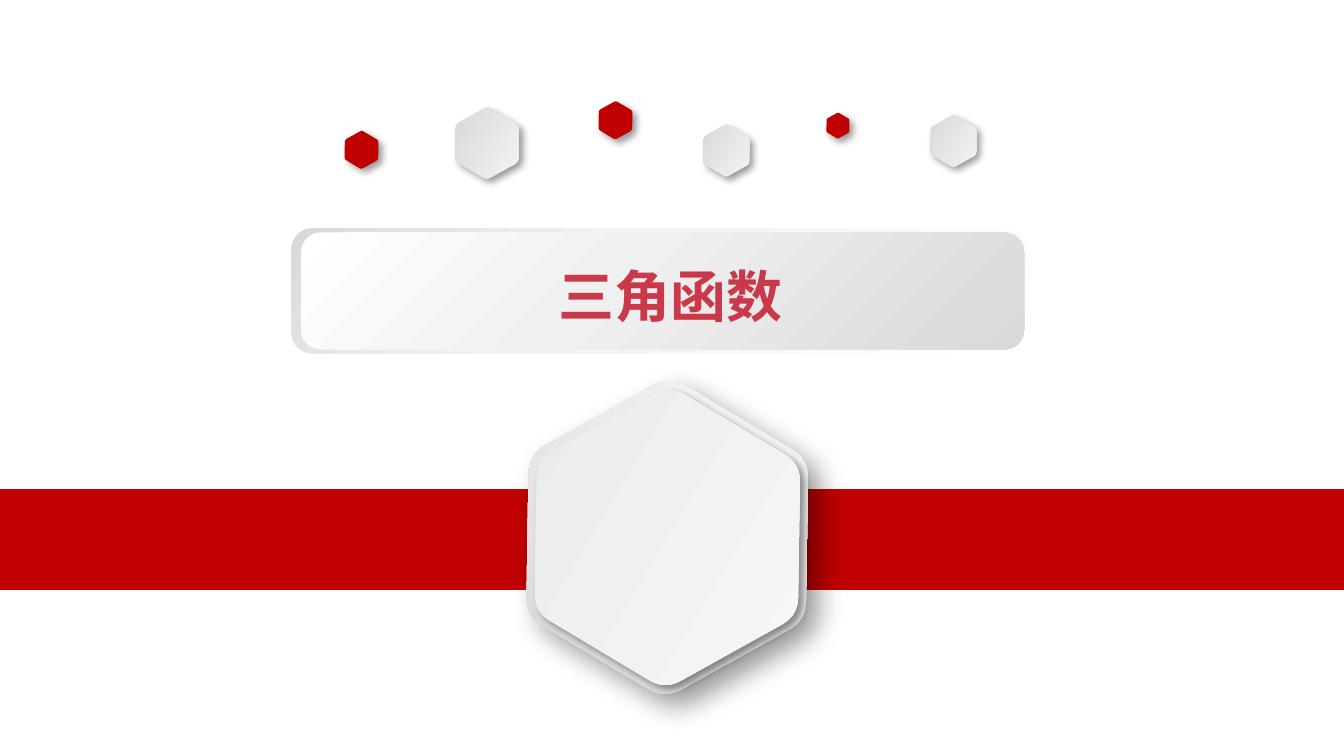
from math import cos, pi, sin, sqrt

from lxml.etree import SubElement
from pptx import Presentation
from pptx.dml.color import RGBColor
from pptx.enum.shapes import MSO_SHAPE
from pptx.enum.text import MSO_ANCHOR, MSO_AUTO_SIZE, PP_ALIGN
from pptx.oxml.ns import qn
from pptx.util import Inches, Pt

RED = "C00000"
SILVER = [(0, "D3D3D3"), (100, "F9F9F9")]
PALE = [(0, "E9E9E9"), (100, "F9F9F9")]
TILT = 30.9
CORNER_CUT = 0.12  # share of a hexagon's edge taken by each rounded corner
CURVE_STEPS = 8

# left, top, width, height, fill
SMALL_HEXAGONS = [
    (3.36, 0.83, 0.53, 0.47, SILVER),
    (4.44, 0.77, 0.28, 0.25, RED),
    (2.55, 0.99, 0.28, 0.25, RED),
    (5.22, 0.95, 0.37, 0.34, SILVER),
    (6.14, 0.85, 0.19, 0.17, RED),
    (6.91, 0.88, 0.37, 0.34, SILVER),
]


def color(hex_code):
    return RGBColor.from_string(hex_code)


def paint(shape, fill, angle=0):
    """Fill with a hex colour or a list of gradient stops; leave no line."""
    shape.shadow.inherit = False
    shape.line.fill.background()
    if isinstance(fill, str):
        shape.fill.solid()
        shape.fill.fore_color.rgb = color(fill)
        return
    shape.fill.gradient()
    shape.fill.gradient_angle = angle
    stops = shape._element.spPr.find(".//" + qn("a:gsLst"))
    for stop in list(stops):
        stops.remove(stop)
    for percent, hex_code in fill:
        stop = SubElement(stops, qn("a:gs"), pos=str(percent * 1000))
        SubElement(stop, qn("a:srgbClr"), val=hex_code)


def add_shadow(shape, blur, distance):
    effects = shape._element.spPr.find(qn("a:effectLst"))
    outer = SubElement(effects, qn("a:outerShdw"), blurRad=str(Pt(blur)),
                       dist=str(Pt(distance)), dir="2700000", algn="tl",
                       rotWithShape="0")
    black = SubElement(outer, qn("a:srgbClr"), val="000000")
    SubElement(black, qn("a:alpha"), val="40000")


def rounded_hexagon_points(center_x, center_y, height):
    """Outline of a flat-topped hexagon whose corners are quadratic curves."""
    radius = height / sqrt(3)
    corners = [(center_x + radius * cos(i * pi / 3),
                center_y + radius * sin(i * pi / 3)) for i in range(6)]
    points = []
    for i, corner in enumerate(corners):
        before, after = corners[i - 1], corners[(i + 1) % 6]
        for step in range(CURVE_STEPS + 1):
            t = step / CURVE_STEPS
            to_before = CORNER_CUT * (1 - t) ** 2
            to_after = CORNER_CUT * t ** 2
            points.append(tuple(
                Inches(c + to_before * (b - c) + to_after * (a - c))
                for b, c, a in zip(before, corner, after)))
    return points


def add_hexagon(shapes, left, top, width, height, fill,
                angle=0, blur=4, distance=3):
    points = rounded_hexagon_points(left + width / 2, top + height / 2, height)
    builder = shapes.build_freeform(*points[0])
    builder.add_line_segments(points[1:], close=True)
    hexagon = builder.convert_to_shape()
    hexagon.rotation = TILT
    paint(hexagon, fill, angle)
    add_shadow(hexagon, blur, distance)


def add_panel(shapes, kind, left, top, width, height, fill, angle=0):
    panel = shapes.add_shape(kind, Inches(left), Inches(top),
                             Inches(width), Inches(height))
    paint(panel, fill, angle)


def add_title(shapes, text, left, top, width, height):
    title = shapes.add_textbox(Inches(left), Inches(top),
                               Inches(width), Inches(height))
    frame = title.text_frame
    frame.word_wrap = True
    frame.auto_size = MSO_AUTO_SIZE.SHAPE_TO_FIT_TEXT
    frame.vertical_anchor = MSO_ANCHOR.TOP
    paragraph = frame.paragraphs[0]
    paragraph.text = text
    paragraph.alignment = PP_ALIGN.CENTER
    font = paragraph.font
    font.name = "Noto Sans CJK SC"
    font.size = Pt(30)
    font.bold = True
    font.color.rgb = color("C9394A")
    SubElement(font._element, qn("a:ea"), typeface="Noto Sans CJK SC")


def main():
    presentation = Presentation()
    presentation.slide_width = Inches(10)
    presentation.slide_height = Inches(10) * 9 // 16
    slide = presentation.slides.add_slide(presentation.slide_layouts[6])
    shapes = slide.shapes

    add_panel(shapes, MSO_SHAPE.RECTANGLE, 0, 3.64, 10, 0.75, RED)
    for hexagon in SMALL_HEXAGONS:
        add_hexagon(shapes, *hexagon)

    badge = shapes.add_group_shape().shapes
    add_hexagon(badge, 3.81, 2.96, 2.31, 2.08, SILVER,
                angle=90, blur=15, distance=9)
    add_hexagon(badge, 3.88, 3.02, 2.17, 1.96, PALE)

    banner = shapes.add_group_shape().shapes
    add_panel(banner, MSO_SHAPE.ROUNDED_RECTANGLE, 2.17, 1.7, 5.48, 0.93,
              [(0, "FFFFFF"), (62, "F2F2F2"), (100, "D9D9D9")], 135)
    add_panel(banner, MSO_SHAPE.ROUNDED_RECTANGLE, 2.24, 1.73, 5.38, 0.87,
              [(0, "FFFFFF"), (42, "F0F0F0"), (100, "D9D9D9")], 315)
    add_title(shapes, "三角函数", 2.25, 1.9, 5.48, 0.61)

    presentation.save("out.pptx")


if __name__ == "__main__":
    main()
